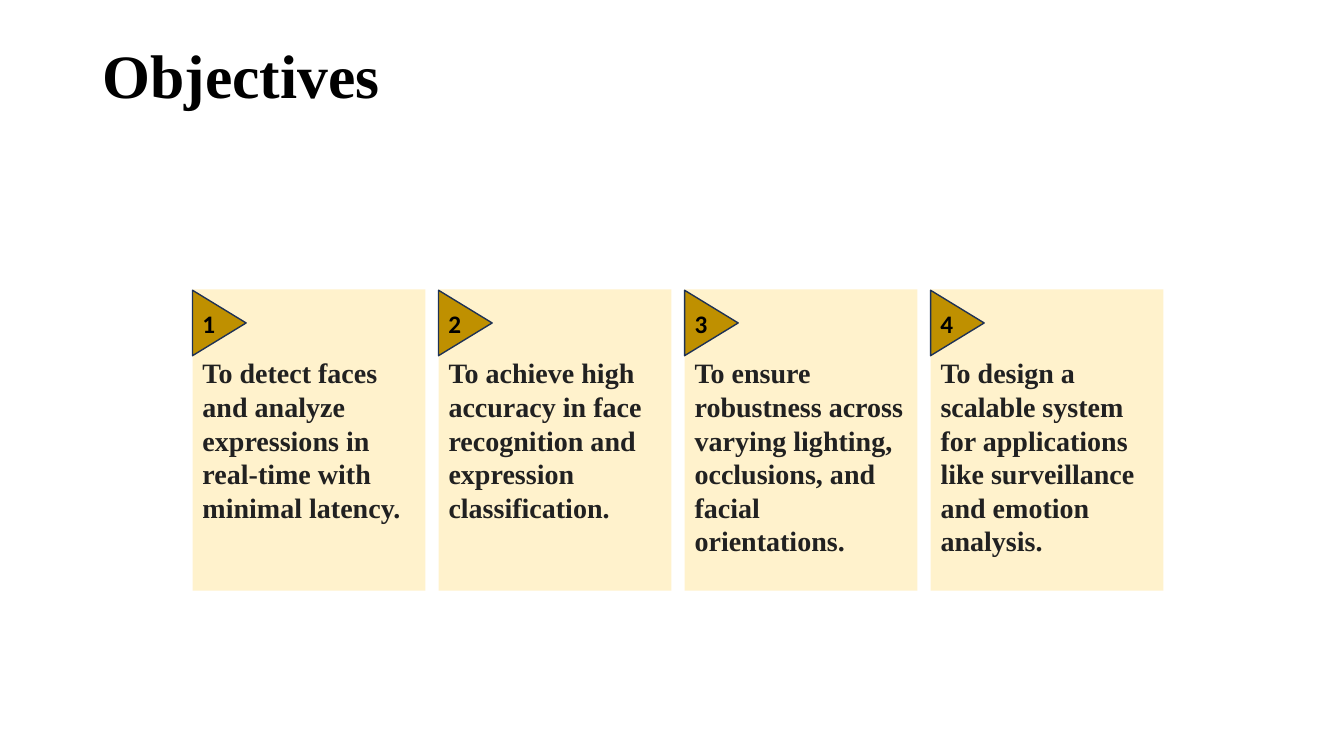
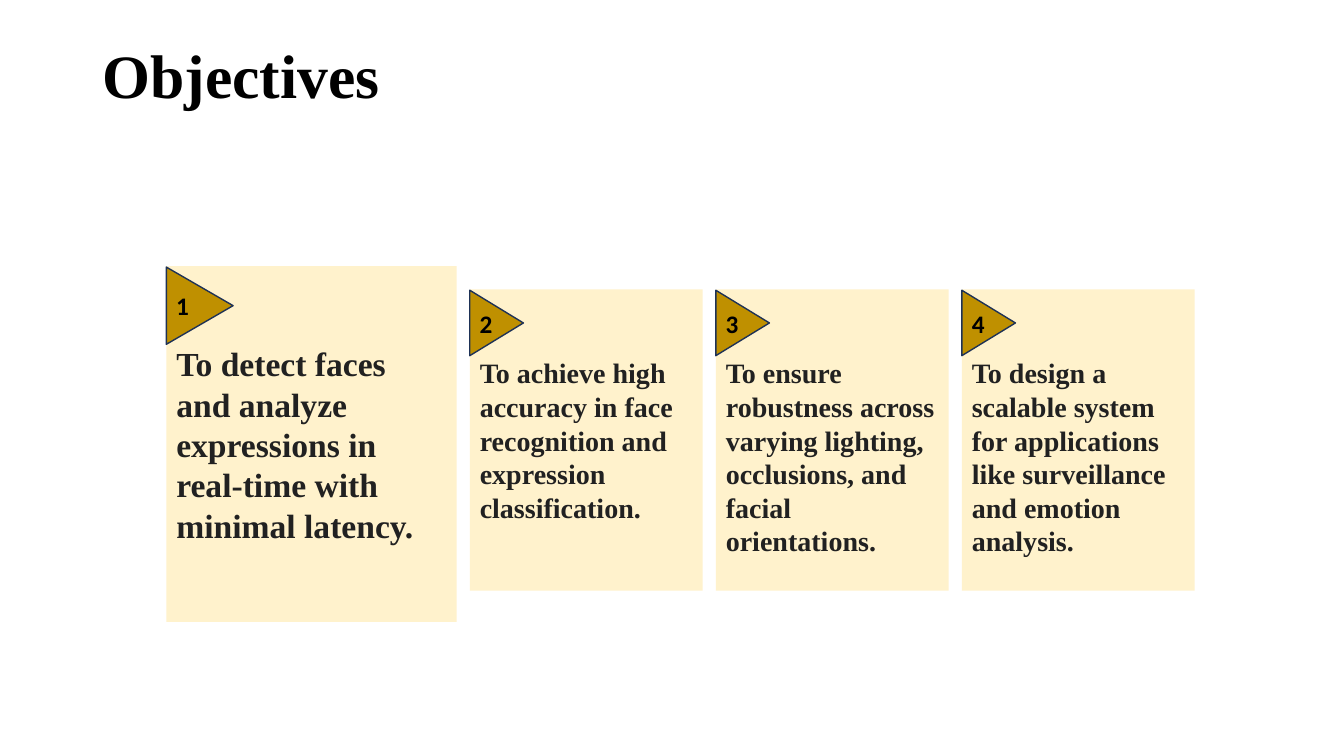
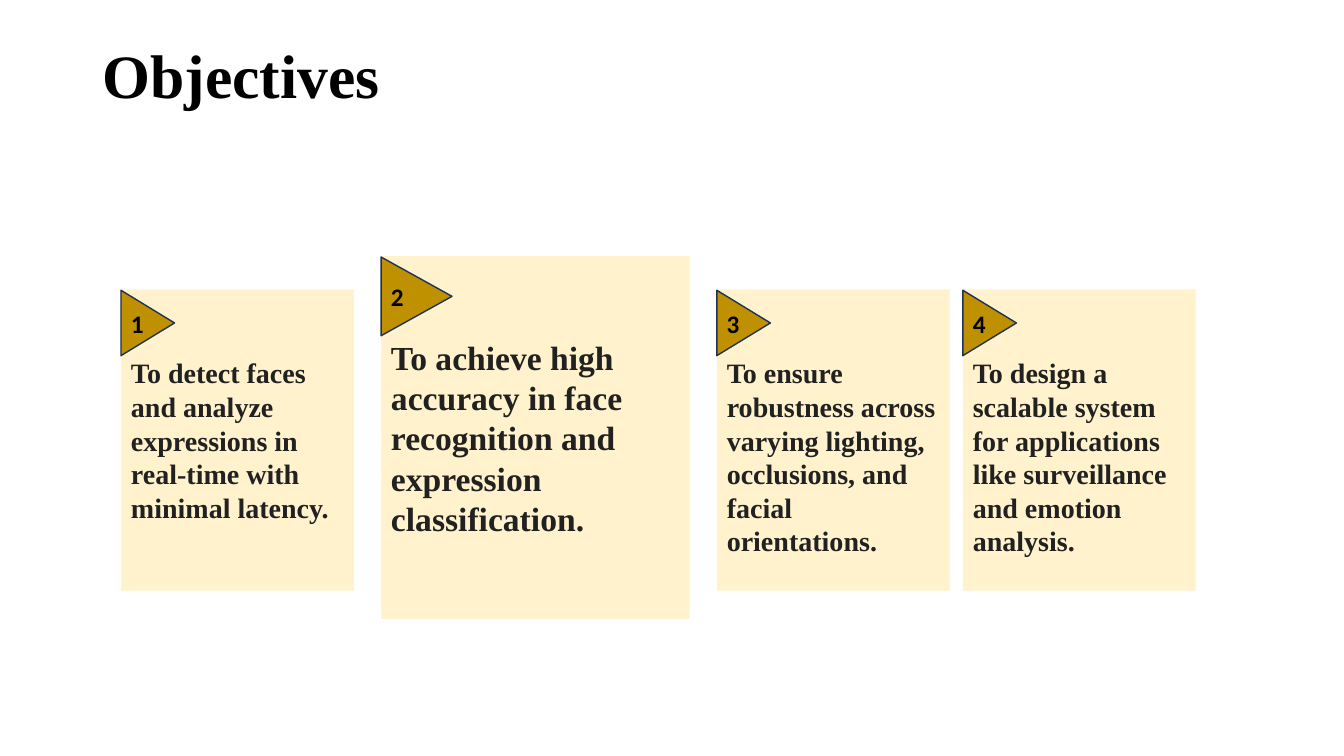
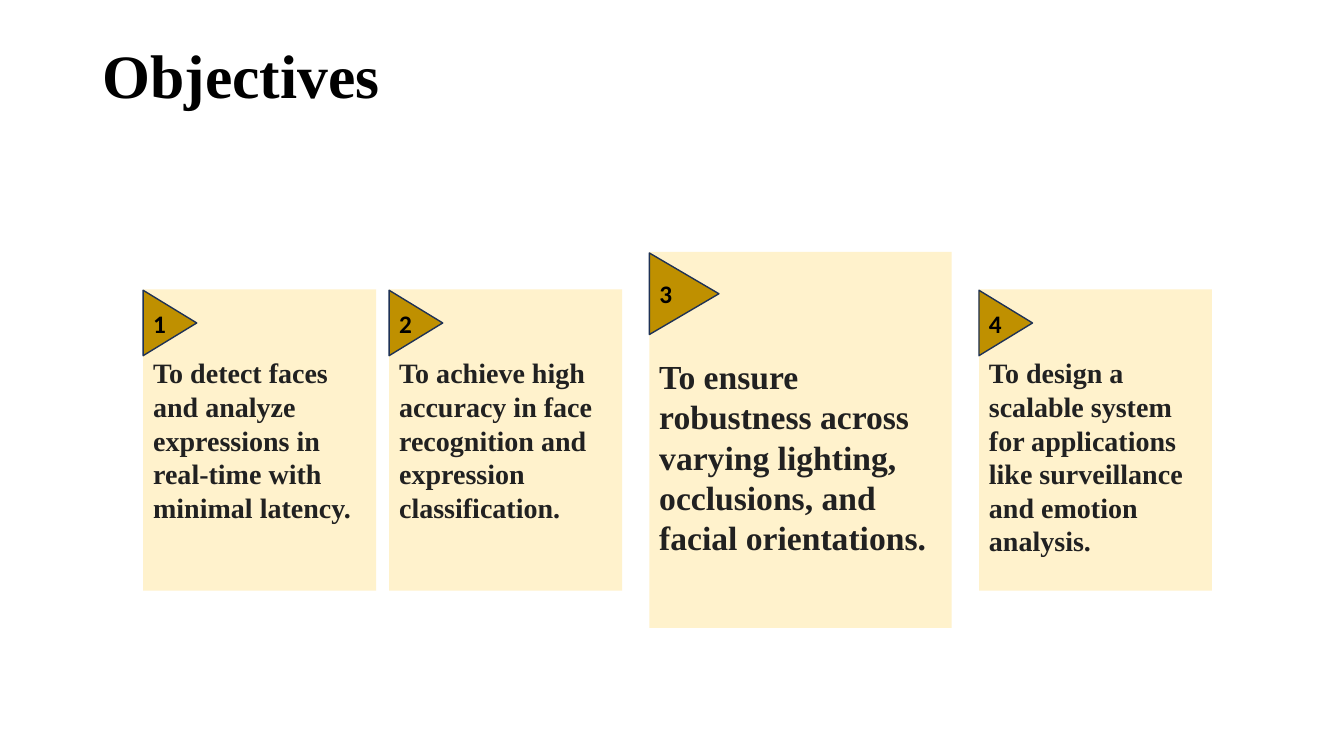
from pptx import Presentation
from pptx.dml.color import RGBColor
from pptx.enum.shapes import MSO_SHAPE
from pptx.enum.text import MSO_ANCHOR, PP_ALIGN
from pptx.util import Inches, Pt

# Content: objective text and its inset from the top of the card
GOALS = [
    ("To detect faces and analyze expressions in real-time with minimal latency.", 0.05),
    ("To achieve high accuracy in face recognition and expression classification.", 0.05),
    ("To ensure robustness across varying lighting, occlusions, and facial orientations.", 0.38),
    ("To design a scalable system for applications like surveillance and emotion analysis.", 0.38),
]

# Each slide: left edge, index of the raised card, its box (top, width, height)
# and the gap beside it
SLIDES = [
    dict(left=1.91),
    dict(left=1.65, big=0, box=(2.64, 2.88, 3.53)),
    dict(left=1.2, big=1, box=(2.54, 3.06, 3.6), wide=0.27),
    dict(left=1.42, big=2, box=(2.5, 3, 3.73), wide=0.27),
]

# Shared style
SERIF, SANS = "Times New Roman", "Calibri"
CREAM, GOLD, NAVY, INK, BLACK = "FFF2CC", "BF9000", "1E3256", "212121", "000000"
BOX = (2.87, 2.31, 2.99)
GAP = 0.13
BADGE_W, BADGE_H = 0.23, 0.217  # shares of the card's width and height


def color(code):
    return RGBColor.from_string(code)


def write(shape, text, size, font=SERIF, ink=INK, anchor=MSO_ANCHOR.MIDDLE,
          top=0.05, spacing=None):
    frame = shape.text_frame
    frame.word_wrap = True
    frame.vertical_anchor = anchor
    frame.margin_left = frame.margin_right = Inches(0.1)
    frame.margin_top, frame.margin_bottom = Inches(top), Inches(0.05)
    para = frame.paragraphs[0]
    para.alignment = PP_ALIGN.LEFT
    if spacing:
        para.line_spacing = spacing
    run = para.add_run()
    run.text = text
    run.font.name, run.font.size, run.font.bold = font, Pt(size), True
    run.font.color.rgb = color(ink)


def paint(shape, fill, line=None):
    shape.shadow.inherit = False
    shape.fill.solid()
    shape.fill.fore_color.rgb = color(fill)
    if line:
        shape.line.color.rgb = color(line)
        shape.line.width = Pt(1)
    else:
        shape.line.fill.background()


def add_title(slide):
    title = slide.shapes.add_textbox(Inches(0.92), Inches(0.4), Inches(11.5), Inches(1.45))
    write(title, "Objectives", 44, ink=BLACK, anchor=MSO_ANCHOR.TOP, spacing=0.9)


def add_card(slide, number, left, box, size):
    top, width, height = box
    text, inset = GOALS[number]
    group = slide.shapes.add_group_shape().shapes
    card = group.add_shape(MSO_SHAPE.RECTANGLE, Inches(left), Inches(top),
                           Inches(width), Inches(height))
    paint(card, CREAM)
    write(card, text, size, top=inset)

    # Numbered triangle in the card's corner
    wide, high, peak = width * BADGE_W, height * BADGE_H, top + 0.01
    path = group.build_freeform(Inches(left), Inches(peak))
    path.add_line_segments([(Inches(left + wide), Inches(peak + high / 2)),
                            (Inches(left), Inches(peak + high))], close=True)
    badge = path.convert_to_shape()
    paint(badge, GOLD, NAVY)
    write(badge, str(number + 1), 18, font=SANS, ink=BLACK)


def add_slide(deck, left, big=None, box=BOX, wide=GAP):
    slide = deck.slides.add_slide(deck.slide_layouts[6])
    for i in range(len(GOALS)):
        raised = i == big
        place = box if raised else BOX
        add_card(slide, i, left, place, 24 if raised else 20)
        beside = big is not None and big in (i, i + 1)
        left += place[1] + (wide if beside else GAP)
    add_title(slide)


def main():
    deck = Presentation()
    deck.slide_width, deck.slide_height = Inches(13.33), Inches(7.5)
    for setup in SLIDES:
        add_slide(deck, **setup)
    deck.save("out.pptx")


if __name__ == "__main__":
    main()
